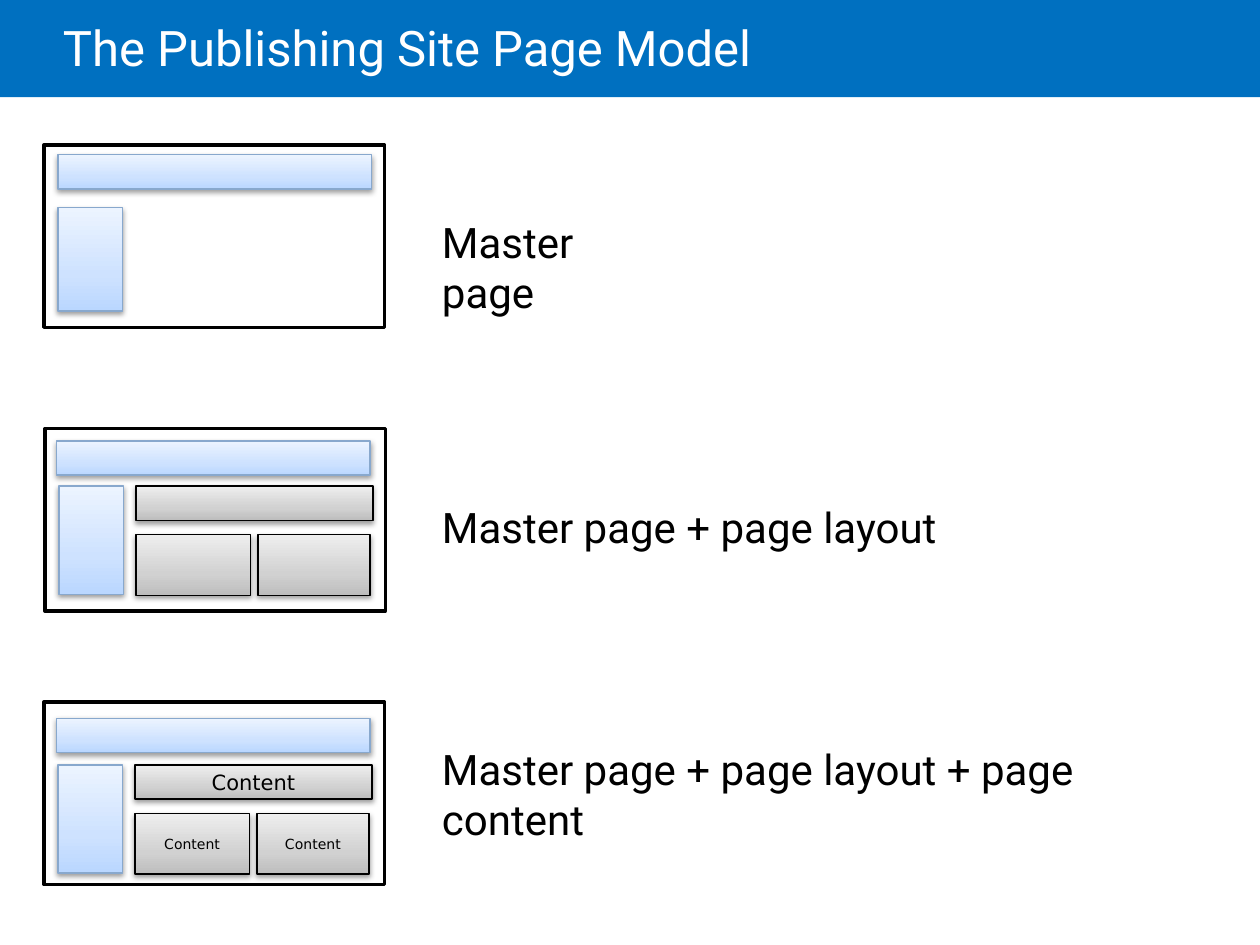
from copy import deepcopy

from lxml import etree
from pptx import Presentation
from pptx.dml.color import RGBColor
from pptx.enum.shapes import MSO_SHAPE
from pptx.enum.text import MSO_ANCHOR, PP_ALIGN
from pptx.oxml.ns import qn
from pptx.util import Cm, Pt

RECTANGLE = MSO_SHAPE.RECTANGLE
MIDDLE, TOP = MSO_ANCHOR.MIDDLE, MSO_ANCHOR.TOP
CENTER, LEFT = PP_ALIGN.CENTER, PP_ALIGN.LEFT

COLORS = {
    "band": "0070C0",
    "white": "FFFFFF",
    "black": "000000",
    "blue_line": "88A8CD",
}
GRADIENTS = {
    "master": ("BAD7FF", "CEE2FF", "ECF4FF"),
    "layout": ("BDBDBD", "D1D1D1", "EEEEEE"),
}
STOP_POSITIONS = (0, 0.35, 1)
BLOCK_LINES = {"master": "blue_line", "layout": "black"}


class PageModelSlide:
    """Draws the page mock-ups and labels in one shared style."""

    def __init__(self, slide):
        self.slide = slide
        self.heading_font = "Roboto"
        self.block_font = "DejaVu Sans"

    def rectangle(self, left, top, width, height, line=None, line_width=0.75):
        shape = self.slide.shapes.add_shape(
            RECTANGLE, Cm(left), Cm(top), Cm(width), Cm(height))
        shape.shadow.inherit = False
        if line:
            shape.line.color.rgb = RGBColor.from_string(COLORS[line])
            shape.line.width = Pt(line_width)
        else:
            shape.line.fill.background()
        return shape

    def panel(self, left, top, width, height, fill, line=None):
        shape = self.rectangle(left, top, width, height, line, 2)
        shape.fill.solid()
        shape.fill.fore_color.rgb = RGBColor.from_string(COLORS[fill])

    def block(self, left, top, width, height, kind, text=None, size=8):
        shape = self.rectangle(left, top, width, height, BLOCK_LINES[kind])
        self.gradient(shape, GRADIENTS[kind])
        self.drop_shadow(shape)
        if text:
            frame = shape.text_frame
            frame.margin_left = frame.margin_right = Cm(0.5)
            self.add_text(frame, text, size, self.block_font, "black", MIDDLE, CENTER)

    def gradient(self, shape, colors):
        shape.fill.gradient()
        shape.fill.gradient_angle = 90
        stop_list = shape.element.spPr.find(".//" + qn("a:gsLst"))
        stop_list.append(deepcopy(stop_list[0]))
        for stop, color, position in zip(
                shape.fill.gradient_stops, colors, STOP_POSITIONS):
            stop.color.rgb = RGBColor.from_string(color)
            stop.position = position

    def drop_shadow(self, shape):
        effects = shape.element.spPr.find(qn("a:effectLst"))
        shadow = etree.SubElement(
            effects, qn("a:outerShdw"), blurRad=str(Pt(3.1)),
            dist=str(Pt(1.6)), dir="5400000", rotWithShape="0")
        color = etree.SubElement(shadow, qn("a:srgbClr"), val=COLORS["black"])
        etree.SubElement(color, qn("a:alpha"), val="38000")

    def label(self, text, left, top, width, height, size=24, color="black",
              anchor=TOP):
        shape = self.slide.shapes.add_textbox(
            Cm(left), Cm(top), Cm(width), Cm(height))
        frame = shape.text_frame
        frame.word_wrap = True
        return self.add_text(
            frame, text, size, self.heading_font, color, anchor, LEFT)

    def title(self, text):
        self.panel(0, 0, 25.4, 1.96, "band")
        paragraph = self.label(text, 1.02, 0, 21.84, 2.06, 28, "white", MIDDLE)
        paragraph.line_spacing = 0.85

    def add_text(self, frame, text, size, font, color, anchor, alignment):
        frame.vertical_anchor = anchor
        paragraph = frame.paragraphs[0]
        paragraph.alignment = alignment
        run = paragraph.add_run()
        run.text = text
        run.font.size = Pt(size)
        run.font.name = font
        run.font.color.rgb = RGBColor.from_string(COLORS[color])
        return paragraph

    def master_page(self, left, top, banner, sidebar, sidebar_height):
        self.panel(left, top, 6.86, 3.68, "white", "black")
        self.block(*banner, 6.32, 0.69, "master")
        self.block(*sidebar, 1.3, sidebar_height, "master")

    def page_layout(self, left, top, text=None):
        self.block(left, top, 4.78, 0.69, "layout", text, 12)
        for offset, width in ((0, 2.31), (2.46, 2.26)):
            self.block(left + offset, top + 0.98, width, 1.22, "layout", text)


def main():
    presentation = Presentation()
    presentation.slide_width = Cm(25.4)
    presentation.slide_height = Cm(19.05)
    page = PageModelSlide(
        presentation.slides.add_slide(presentation.slide_layouts[6]))

    page.title("The Publishing Site Page Model")

    page.master_page(0.89, 2.92, (1.17, 3.12), (1.17, 4.19), 2.08)
    page.label("Master page", 8.66, 4.24, 5.1, 1.27)

    page.master_page(0.91, 8.64, (1.14, 8.89), (1.19, 9.8), 2.18)
    page.page_layout(2.74, 9.8)
    page.label("Master page + page layout", 8.66, 9.98, 14.94, 1.27)

    page.master_page(0.89, 14.15, (1.14, 14.48), (1.17, 15.42), 2.18)
    page.page_layout(2.72, 15.42, "Content")
    page.label("Master page + page layout + page content",
               8.66, 14.86, 14.94, 2.31)

    presentation.save("out.pptx")


if __name__ == "__main__":
    main()
